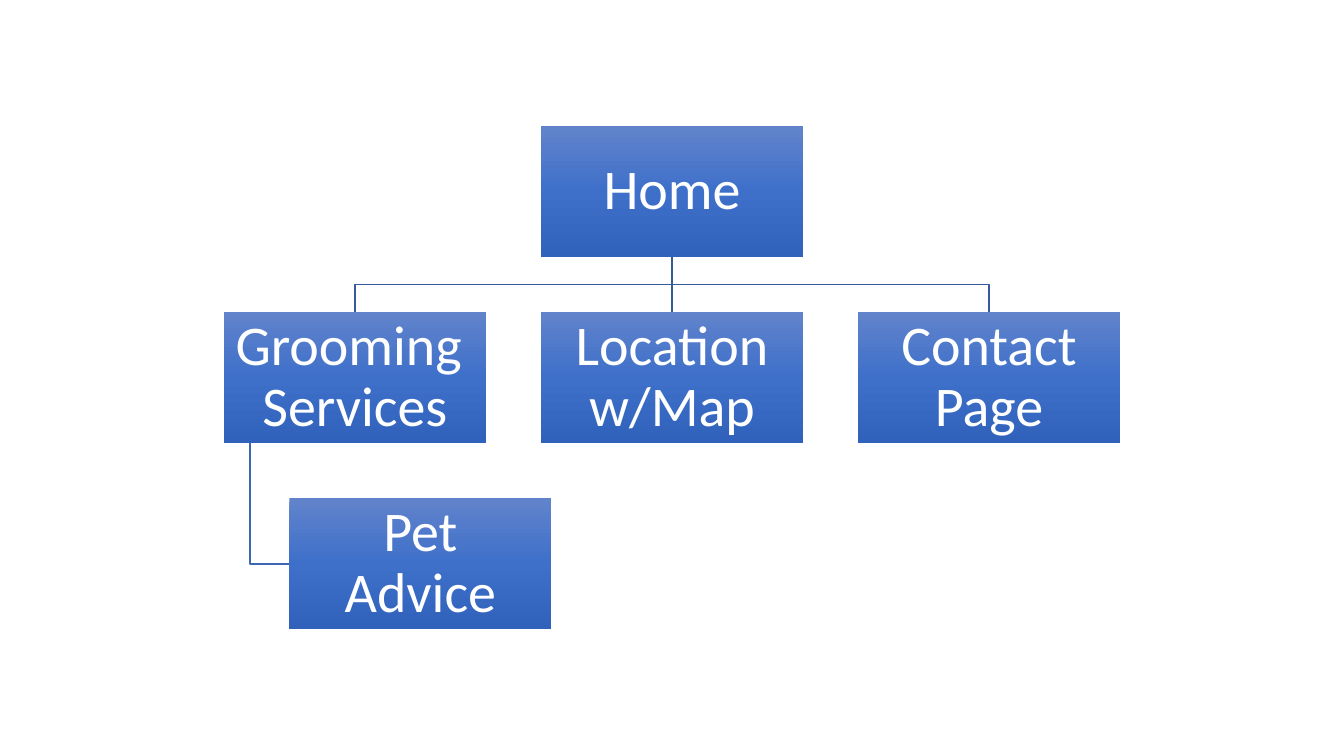
from copy import deepcopy

from pptx import Presentation
from pptx.dml.color import RGBColor
from pptx.enum.shapes import MSO_CONNECTOR, MSO_SHAPE
from pptx.enum.text import MSO_ANCHOR, PP_ALIGN
from pptx.oxml.ns import qn
from pptx.oxml.xmlchemy import OxmlElement
from pptx.util import Cm, Pt

WHITE = RGBColor(0xFF, 0xFF, 0xFF)
BRANCH_BLUE = RGBColor(0x36, 0x5B, 0x9D)
SUB_BRANCH_BLUE = RGBColor(0x3E, 0x67, 0xB2)
BOX_GRADIENT = [
    (0, RGBColor(0x61, 0x83, 0xCB)),
    (0.5, RGBColor(0x3E, 0x70, 0xCA)),
    (1, RGBColor(0x30, 0x62, 0xBB)),
]

deck = Presentation()
deck.slide_width, deck.slide_height = Cm(33.87), Cm(19.05)
page = deck.slides.add_slide(deck.slide_layouts[6])

box_width, box_height, gap = Cm(6.6), Cm(3.3), Cm(1.39)
column_step, row_step = box_width + gap, box_height + gap
center = deck.slide_width // 2
home_left, home_top = center - box_width // 2, Cm(3.18)
home_bottom = home_top + box_height
pages_left, pages_top = home_left - column_step, home_top + row_step
advice_left, advice_top = pages_left + box_width // 4, pages_top + row_step


def add_elbow(points, color):
    builder = page.shapes.build_freeform(*points[0])
    builder.add_line_segments(points[1:], close=False)
    elbow = builder.convert_to_shape()
    elbow.shadow.inherit = False
    elbow.fill.background()
    elbow.line.color.rgb = color
    elbow.line.width = Pt(1)


branch_y = home_bottom + gap // 2
for end_x in (center + column_step, center - column_step):
    add_elbow([(center, home_bottom), (center, branch_y),
               (end_x, branch_y), (end_x, pages_top)], BRANCH_BLUE)

stem = page.shapes.add_connector(MSO_CONNECTOR.STRAIGHT, center, home_bottom, center, pages_top)
stem.line.color.rgb = BRANCH_BLUE
stem.line.width = Pt(1)
stem._element.spPr.append(OxmlElement("a:effectLst"))

trunk_x = pages_left + box_width // 10
advice_middle = advice_top + box_height // 2
add_elbow([(trunk_x, pages_top + box_height), (trunk_x, advice_middle),
           (advice_left, advice_middle)], SUB_BRANCH_BLUE)

site_pages = [("Home", home_left, home_top)]
for column, title in enumerate(["Grooming \vServices", "Location\vw/Map", "Contact\vPage"]):
    site_pages.append((title, pages_left + column * column_step, pages_top))
site_pages.append(("Pet\vAdvice", advice_left, advice_top))

for title, left, top in site_pages:
    box = page.shapes.add_shape(MSO_SHAPE.RECTANGLE, left, top, box_width, box_height)
    box.shadow.inherit = False
    box.line.fill.background()
    box.fill.gradient()
    box.fill.gradient_angle = 270
    stop_list = box._element.spPr.find(qn("a:gradFill")).find(qn("a:gsLst"))
    stop_list.append(deepcopy(stop_list[0]))
    for stop, (position, color) in zip(box.fill.gradient_stops, BOX_GRADIENT):
        stop.position = position
        stop.color.rgb = color

    frame = box.text_frame
    frame.text = title
    frame.word_wrap = True
    frame.vertical_anchor = MSO_ANCHOR.MIDDLE
    frame.margin_left = frame.margin_right = Cm(0.07)
    frame.margin_top = frame.margin_bottom = Cm(0.07)
    para = frame.paragraphs[0]
    para.alignment = PP_ALIGN.CENTER
    para.line_spacing = 0.9
    for span in para.runs:
        span.font.name = "Calibri"
        span.font.size = Pt(40)
        span.font.color.rgb = WHITE

deck.save("out.pptx")
